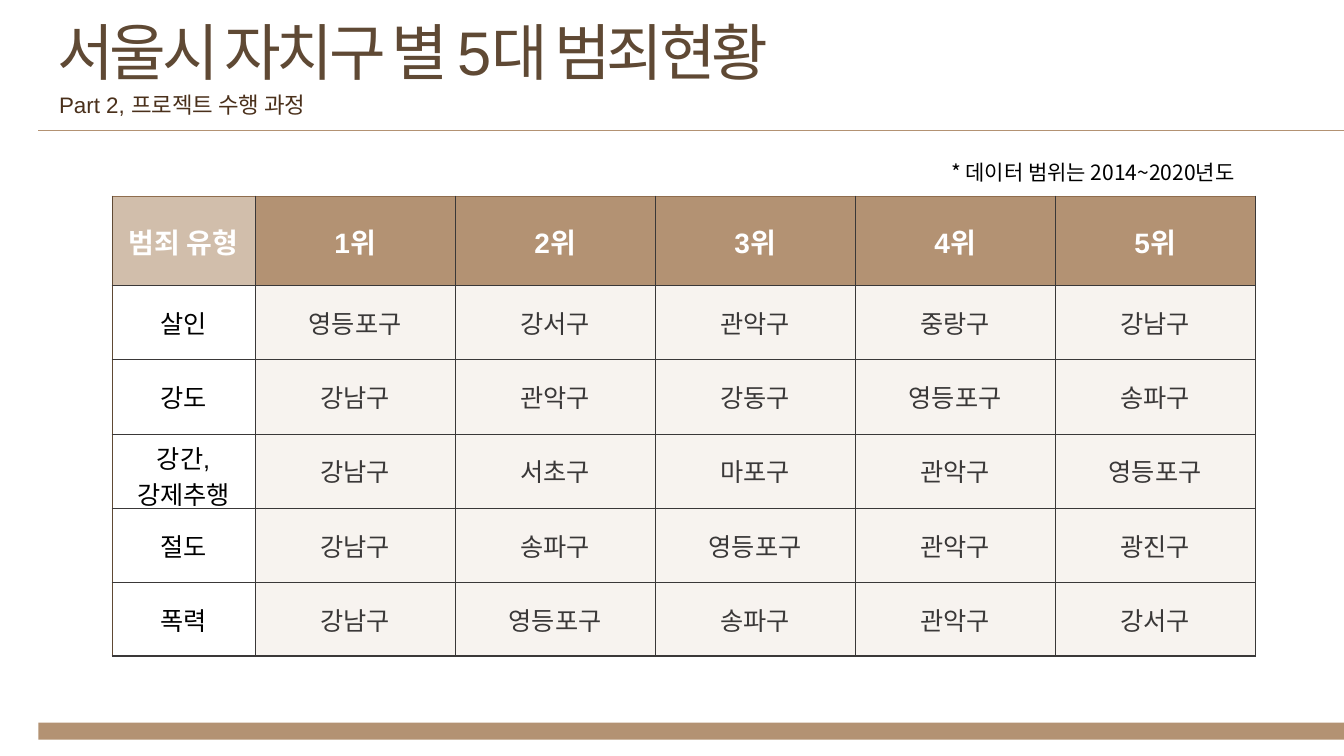
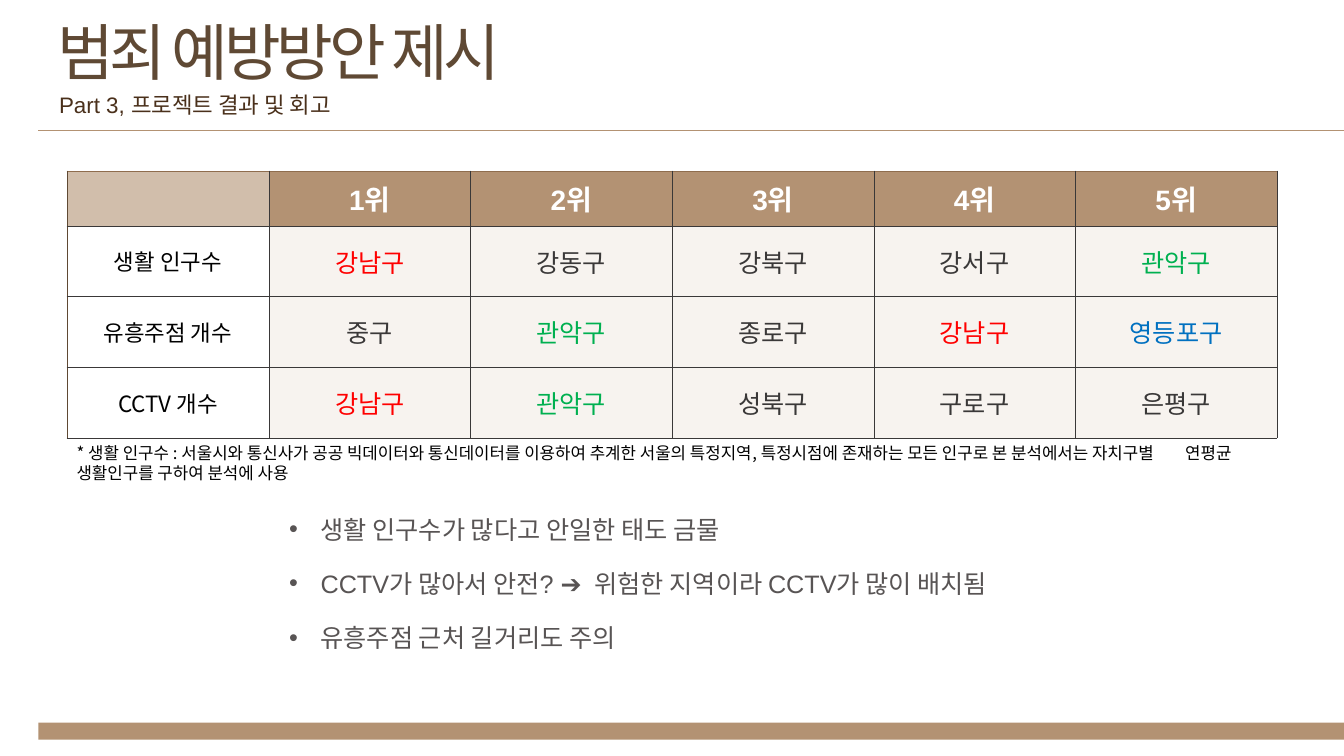
from lxml.etree import SubElement
from pptx import Presentation
from pptx.dml.color import RGBColor
from pptx.enum.shapes import MSO_CONNECTOR, MSO_SHAPE
from pptx.enum.text import MSO_ANCHOR, MSO_AUTO_SIZE, PP_ALIGN
from pptx.oxml.ns import qn
from pptx.util import Cm, Pt

SLIDE_W, SLIDE_H = Cm(33.87), Cm(19.05)
LEFT_EDGE = Cm(0.97)

TAN = RGBColor(0xB3, 0x92, 0x73)
LIGHT_TAN = RGBColor(0xD1, 0xBE, 0xAB)
CREAM = RGBColor(0xF7, 0xF3, 0xEF)
BROWN = RGBColor(0x5F, 0x49, 0x34)
MID_BROWN = RGBColor(0x8F, 0x6D, 0x4E)
DARK_BROWN = RGBColor(0x4A, 0x30, 0x1B)
CHARCOAL = RGBColor(0x3A, 0x38, 0x38)
GRAY = RGBColor(0x58, 0x54, 0x54)
BLACK = RGBColor(0, 0, 0)
WHITE = RGBColor(0xFF, 0xFF, 0xFF)
RED = RGBColor(0xFF, 0, 0)
GREEN = RGBColor(0, 0xB0, 0x50)
BLUE = RGBColor(0, 0x70, 0xC0)

ARIAL, NOTO = "Arial", "Noto Sans CJK KR"
RANKS = ["1위", "2위", "3위", "4위", "5위"]
THIN, THICK = Pt(0.25), Pt(1.5)


def write(frame, text, size=18, color=BLACK, font=ARIAL, bold=False,
          align=None, tracking=None, bullet_indent=None, gap=None):
    """Fill a frame; each item of a list is a paragraph, each \\n a line break."""
    items = [text] if isinstance(text, str) else text
    for index, item in enumerate(items):
        paragraph = frame.add_paragraph() if index else frame.paragraphs[0]
        if align is not None:
            paragraph.alignment = align
        if gap and index:
            paragraph.space_before = Pt(gap)
        if bullet_indent:
            properties = paragraph._p.get_or_add_pPr()
            properties.set("marL", str(bullet_indent))
            properties.set("indent", str(-bullet_indent))
            SubElement(properties, qn("a:buFont"), typeface=ARIAL)
            SubElement(properties, qn("a:buChar"), char="•")
        for line_number, line in enumerate(item.split("\n")):
            if line_number:
                paragraph.add_line_break()
            run = paragraph.add_run()
            run.text = line
            run.font.size, run.font.bold = Pt(size), bold
            run.font.color.rgb = color
            run.font.name = font
            run_properties = run._r.get_or_add_rPr()
            SubElement(run_properties, qn("a:ea"), typeface=NOTO)
            if tracking is not None:
                run_properties.set("spc", str(tracking * 100))


def add_text(slide, box, text, wrap=True, **text_format):
    frame = slide.shapes.add_textbox(*box).text_frame
    frame.word_wrap = wrap
    frame.auto_size = MSO_AUTO_SIZE.SHAPE_TO_FIT_TEXT
    write(frame, text, **text_format)


def add_frame(slide, title, title_width, subtitle, subtitle_width):
    """Footer band, header rule, title and subtitle shared by the slides."""
    width = SLIDE_W - LEFT_EDGE
    band = slide.shapes.add_shape(MSO_SHAPE.RECTANGLE, LEFT_EDGE, Cm(18.21), width, Cm(0.43))
    band.shadow.inherit = False
    band.fill.solid()
    band.fill.fore_color.rgb = TAN
    band.line.fill.background()

    rule = slide.shapes.add_connector(MSO_CONNECTOR.STRAIGHT, LEFT_EDGE, Cm(3.28),
                                      SLIDE_W, Cm(3.28))
    rule.line.color.rgb = TAN
    rule.line.width = Pt(0.5)
    SubElement(rule._element.spPr, qn("a:effectLst"))

    add_text(slide, (Cm(1.19), Cm(0.23), title_width, Cm(2.13)), title,
             wrap=False, size=44, color=BROWN, tracking=-3)
    add_text(slide, (Cm(1.24), Cm(2.18), subtitle_width, Cm(0.94)), subtitle,
             wrap=False, size=16, color=DARK_BROWN)


def set_borders(cell, **sides):
    """Each side is a (colour, width) pair."""
    properties = cell._tc.get_or_add_tcPr()
    for position, tag in enumerate(("lnL", "lnR", "lnT", "lnB")):
        color, width = sides[tag]
        line = properties.makeelement(qn(f"a:{tag}"), {"w": str(width)})
        fill = SubElement(line, qn("a:solidFill"))
        SubElement(fill, qn("a:srgbClr"), val=str(color))
        properties.insert(position, line)


def add_ranking(slide, left, top, label_width, rank_width, header_height, row_height,
                corner, rows, label_size=18, label_fonts=None, highlights=None,
                bottom_width=THIN):
    """Table of districts by rank, with a label at the head of each row."""
    label_fonts, highlights = label_fonts or {}, highlights or {}
    grid = [[corner] + RANKS] + rows
    table = slide.shapes.add_table(
        len(grid), len(grid[0]), left, top, label_width + rank_width * len(RANKS),
        header_height + row_height * len(rows)).table
    table.first_row = table.horz_banding = False
    for index, column in enumerate(table.columns):
        column.width = rank_width if index else label_width
    for index, row in enumerate(table.rows):
        row.height = row_height if index else header_height

    for r, values in enumerate(grid):
        for c, value in enumerate(values):
            cell = table.cell(r, c)
            cell.vertical_anchor = MSO_ANCHOR.MIDDLE
            if r == 0:
                fill = TAN if c else LIGHT_TAN
                style = dict(size=20, color=WHITE, bold=True)
            elif c == 0:
                fill = WHITE
                style = dict(size=label_size, font=label_fonts.get(value, ARIAL))
            else:
                fill = CREAM
                style = dict(color=highlights.get(value, CHARCOAL))
            cell.fill.solid()
            cell.fill.fore_color.rgb = fill
            if value:
                write(cell.text_frame, value, align=PP_ALIGN.CENTER, **style)
            set_borders(
                cell,
                lnL=(CHARCOAL if c else BROWN, THIN),
                lnR=(CHARCOAL, THIN),
                lnT=(CHARCOAL, THIN) if r else (MID_BROWN, THICK),
                lnB=(CHARCOAL, bottom_width if r == len(rows) else THIN))


def build_crime_slide(slide):
    add_frame(slide, "서울시 자치구 별 5대 범죄현황", Cm(20.12),
              "Part 2, 프로젝트 수행 과정", Cm(7.24))
    add_ranking(
        slide, Cm(2.82), Cm(4.95), Cm(3.61), Cm(5.04), Cm(2.24), Cm(1.87), "범죄 유형",
        [["살인", "영등포구", "강서구", "관악구", "중랑구", "강남구"],
         ["강도", "강남구", "관악구", "강동구", "영등포구", "송파구"],
         ["강간,\n강제추행", "강남구", "서초구", "마포구", "관악구", "영등포구"],
         ["절도", "강남구", "송파구", "영등포구", "관악구", "광진구"],
         ["폭력", "강남구", "영등포구", "송파구", "관악구", "강서구"]],
        bottom_width=THICK)
    # Data range
    add_text(slide, (Cm(23.72), Cm(3.89), Cm(8.53), Cm(0.89)),
             "* 데이터 범위는 2014~2020년도", size=15, font=NOTO)


def build_prevention_slide(slide):
    add_frame(slide, "범죄 예방방안 제시", Cm(13.18),
              "Part 3, 프로젝트 결과 및 회고", Cm(7.98))
    add_ranking(
        slide, Cm(1.68), Cm(4.32), Cm(5.1), Cm(5.08), Cm(1.37), Cm(1.78), "",
        [["생활 인구수", "강남구", "강동구", "강북구", "강서구", "관악구"],
         ["유흥주점 개수", "중구", "관악구", "종로구", "강남구", "영등포구"],
         ["CCTV 개수", "강남구", "관악구", "성북구", "구로구", "은평구"]],
        label_size=16, label_fonts={"CCTV 개수": NOTO},
        highlights={"강남구": RED, "관악구": GREEN, "영등포구": BLUE})
    # Definition under the table
    add_text(slide, (Cm(1.68), Cm(11.02), Cm(30.5), Cm(1.27)),
             "* 생활 인구수 : 서울시와 통신사가 공공 빅데이터와 통신데이터를 이용하여 "
             "추계한 서울의 특정지역, 특정시점에 존재하는 모든 인구로 본 분석에서는 "
             "자치구별\t연평균 생활인구를 구하여 분석에 사용", size=12, font=NOTO)
    # Findings
    add_text(slide, (Cm(7.04), Cm(12.83), Cm(19.81), Cm(4.11)),
             ["생활 인구수가 많다고 안일한 태도 금물",
              "CCTV가 많아서 안전? ➔ 위험한 지역이라 CCTV가 많이 배치됨",
              "유흥주점 근처 길거리도 주의"],
             color=GRAY, align=PP_ALIGN.JUSTIFY, bullet_indent=Cm(0.79), gap=17)


def main():
    deck = Presentation()
    deck.slide_width, deck.slide_height = SLIDE_W, SLIDE_H
    for build in (build_crime_slide, build_prevention_slide):
        build(deck.slides.add_slide(deck.slide_layouts[6]))
    deck.save("out.pptx")


if __name__ == "__main__":
    main()
